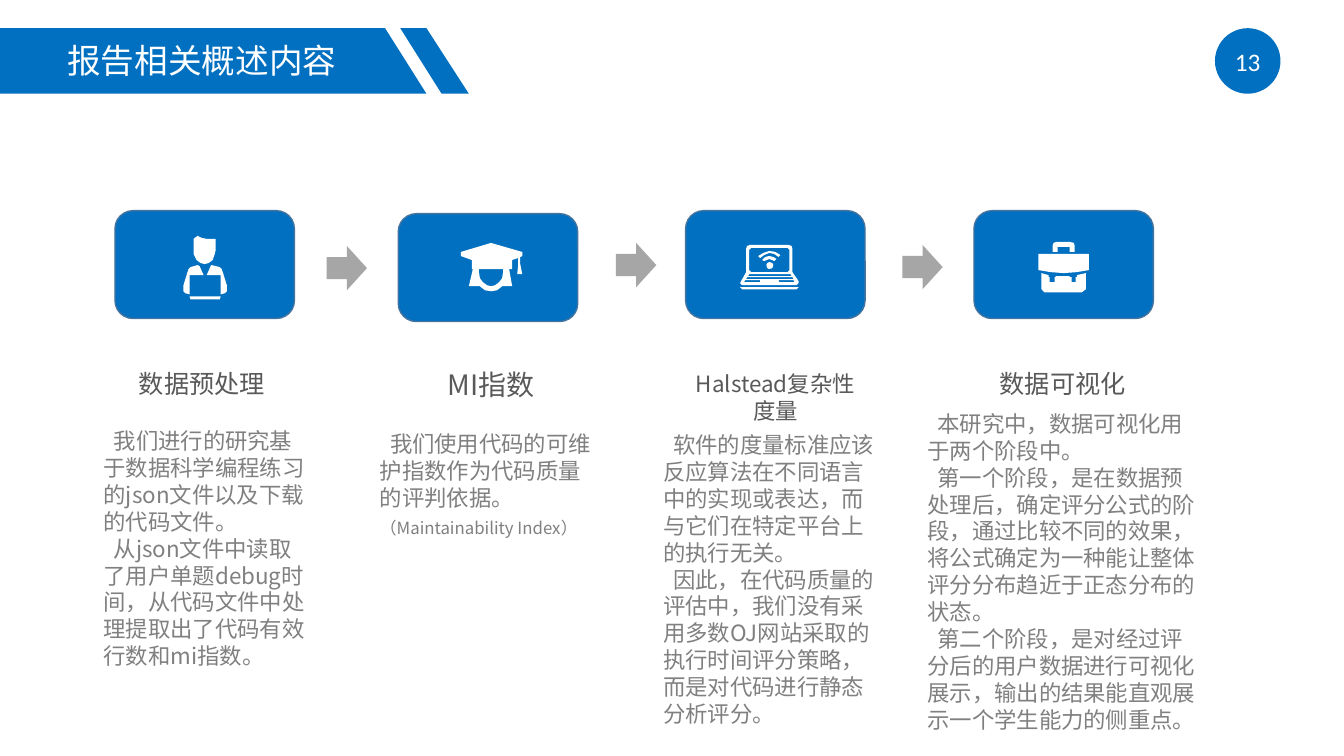
from pptx import Presentation
from pptx.dml.color import RGBColor
from pptx.enum.shapes import MSO_SHAPE as Preset
from pptx.enum.text import MSO_AUTO_SIZE as Fit, PP_ALIGN as Align
from pptx.util import Inches, Pt
from lxml.etree import SubElement
from pptx.oxml.ns import qn

CELL = Inches(0.01)
COLUMNS, ROWS = 1333, 750
BLUE, WHITE, GREY = "0170C1", "FFFFFF", "A6A6A6"
SANS, SANS_JP = "Noto Sans CJK SC", "Noto Sans CJK JP"

deck = Presentation()
deck.slide_width, deck.slide_height = COLUMNS * CELL, ROWS * CELL
slide = deck.slides.add_slide(deck.slide_layouts[6])
shapes = slide.shapes


def paint(shape, fill, line=None):
    shape.shadow.inherit = False
    shape.fill.solid()
    shape.fill.fore_color.rgb = RGBColor.from_string(fill)
    if line:
        shape.line.color.rgb = RGBColor.from_string(line)
        shape.line.width = Pt(1)
    else:
        shape.line.fill.background()


def write(text, place, size=16, color="808080", font=SANS, align=Align.LEFT, indent=0, note=""):
    frame = shapes.add_textbox(*(v * CELL for v in place)).text_frame
    frame.word_wrap = True
    frame.auto_size = Fit.SHAPE_TO_FIT_TEXT
    for number, line in enumerate(text.split("\n")):
        paragraph = frame.paragraphs[0] if number == 0 else frame.add_paragraph()
        paragraph.alignment = align
        paragraph.line_spacing = Pt(1.2 * size)
        if indent:
            paragraph._p.get_or_add_pPr().set("indent", str(indent * CELL))
        for words, points in ((line, size), (note, 12)):
            if words:
                run = paragraph.add_run()
                run.text = words
                run.font.size = Pt(points)
                run.font.name = font
                run.font.color.rgb = RGBColor.from_string(color)
                SubElement(run._r.get_or_add_rPr(), qn("a:ea")).set("typeface", font)


title_band = [[(0, 0), (382, 0), (423, 65), (0, 65)]]
title_stripe = [[(0, 0), (26, 0), (68, 65), (41, 65)]]

person = [
    [(11, 22), (11, 7), (15, 4), (19, 6), (24, 7), (33, 7), (33, 18), (32, 22),
     (30, 28), (26, 31), (22, 32), (18, 31), (14, 28)],
    [(7, 64), (38, 64), (37, 67), (8, 67)],
    [(40, 40), (44, 53), (44, 59), (42, 61), (38, 62), (38, 43), (24, 43),
     (28, 34), (29, 33), (37, 35), (39, 37)],
    [(5, 40), (1, 53), (1, 59), (3, 61), (7, 62), (7, 43), (21, 43),
     (17, 34), (15, 33), (8, 35), (6, 37)],
]
graduate = [
    [(12, 26), (8, 43), (19, 43), (24, 47), (30, 48), (36, 47), (41, 43), (51, 43),
     (48, 26), (51, 26), (51, 17), (57, 15), (57, 21), (56, 31), (61, 31), (59, 21),
     (59, 14), (61, 13), (61, 9), (30, 0), (0, 9), (0, 13), (11, 17), (11, 26)],
    [(42, 26), (42, 29), (41, 35), (38, 39), (34, 42), (30, 43), (26, 42),
     (22, 39), (19, 35), (18, 29), (18, 26)],
]
laptop = [
    [(58, 36), (52, 27), (52, 4), (51, 1), (48, 0), (10, 0), (7, 1), (6, 4), (6, 27),
     (1, 36), (0, 38), (2, 40), (56, 40), (58, 38)],
    [(9, 5), (11, 3), (47, 3), (49, 5), (49, 25), (47, 27), (11, 27), (9, 25)],
    [(20, 13), (18, 11), (23, 7.5), (29, 6), (35, 7), (40, 10), (38, 12),
     (34, 9), (29, 8), (24, 9.5)],
    [(22, 15), (24, 16), (29, 14), (34, 16), (36, 14), (33, 12), (29, 11), (25, 12)],
    [(29, 17), (32, 18), (33, 20), (32, 23), (29, 24), (27, 23), (26, 20), (27, 18)],
    [(9, 29), (50, 29), (51, 31), (8, 31)],
    [(7, 32), (52, 32), (53, 34), (6, 34)],
    [(4, 37), (5, 35), (20, 35), (20, 37)],
    [(39, 37), (38, 35), (53, 35), (54, 37)],
    [(0, 42), (2, 44), (56, 44), (58, 42)],
]
briefcase = [
    [(47, 31), (47, 47), (43, 50), (6, 50), (3, 47), (3, 31), (10, 33), (10, 35),
     (11, 35), (11, 40), (16, 40), (16, 35), (17, 35), (17, 34), (31, 34), (31, 35),
     (33, 35), (33, 40), (37, 40), (37, 35), (38, 35), (38, 33)],
    [(18, 0), (31, 0), (35, 1), (36, 4), (36, 10), (31, 10), (31, 5), (19, 5),
     (19, 10), (14, 10), (14, 4), (15, 1)],
    [(0, 12), (0, 28), (12, 30.5), (25, 31), (38, 30.5), (50, 28), (50, 12)],
]

presets = [(Preset.OVAL, (1205, 28, 65, 65), BLUE, None)]
for left, top in ((114, 209), (395, 212), (680, 209), (966, 209)):
    presets.append((Preset.ROUNDED_RECTANGLE, (left, top, 178, 107), BLUE, "43739E"))
for left, top in ((324, 244), (611, 241), (895, 243)):
    presets.append((Preset.RIGHT_ARROW, (left, top, 40, 44), GREY, None))
for preset, place, fill, line in presets:
    paint(shapes.add_shape(preset, *(v * CELL for v in place)), fill, line)

for contours, left, top, fill in (
    (title_band, 0, 28, BLUE),
    (title_stripe, 397, 28, BLUE),
    (person, 181, 230, WHITE),
    (graduate, 457, 241, WHITE),
    (laptop, 734, 243, WHITE),
    (briefcase, 1030, 240, WHITE),
):
    outline = shapes.build_freeform(*contours[0][0], scale=CELL)
    outline.add_line_segments(contours[0][1:])
    for contour in contours[1:]:
        outline.move_to(*contour[0])
        outline.add_line_segments(contour[1:])
    paint(outline.convert_to_shape(left * CELL, top * CELL), fill)

write("报告相关概述内容", (57, 35, 347, 50), size=24, color=WHITE)
write("13", (1215, 41, 48, 40), size=18, color=WHITE, font="Calibri")

for heading, place, size, font, align in (
    ("数据预处理", (128, 360, 146, 40), 18, SANS, Align.LEFT),
    ("MI指数", (414, 360, 146, 44), 20, SANS_JP, Align.CENTER),
    ("Halstead复杂性度量", (680, 362, 178, 64), 16, SANS, Align.CENTER),
    ("数据可视化", (981, 360, 146, 40), 18, SANS, Align.CENTER),
):
    write(heading, place, size=size, color="595959", font=font, align=align)

for body, place, note in (
    ("我们进行的研究基于数据科学编程练习的json文件以及下载的代码文件。\n"
     "从json文件中读取了用户单题debug时间，从代码文件中处理提取出了代码有效行数和mi指数。",
     (93, 419, 220, 252), ""),
    ("我们使用代码的可维护指数作为代码质量的评判依据。",
     (367, 422, 230, 138), "（Maintainability Index）"),
    ("软件的度量标准应该反应算法在不同语言中的实现或表达，而与它们在特定平台上的执行无关。\n"
     "因此，在代码质量的评估中，我们没有采用多数OJ网站采取的执行时间评分策略，而是对代码进行静态分析评分。",
     (648, 423, 230, 306), ""),
    ("本研究中，数据可视化用于两个阶段中。\n"
     "第一个阶段，是在数据预处理后，确定评分公式的阶段，通过比较不同的效果，"
     "将公式确定为一种能让整体评分分布趋近于正态分布的状态。\n"
     "第二个阶段，是对经过评分后的用户数据进行可视化展示，输出的结果能直观展示一个学生能力的侧重点。",
     (910, 402, 290, 333), ""),
):
    write(body, place, indent=10, note=note)

deck.save("out.pptx")
